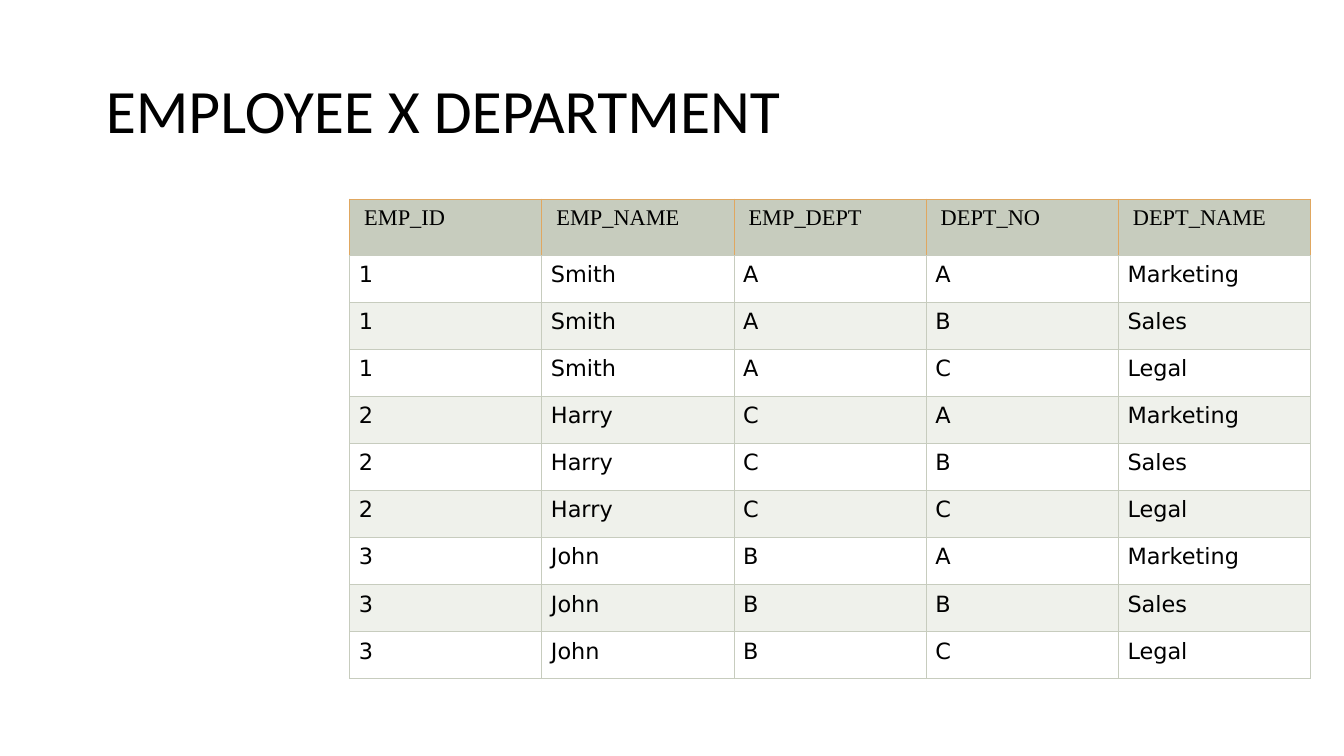
import itertools

import pptx
import pptx.dml.color
import pptx.enum.text
import pptx.oxml
import pptx.oxml.ns
import pptx.util

Pt = pptx.util.Pt

COLORS = {
    "text": "000000",
    "header": "C7CCBE",
    "band": "EFF1EB",
    "plain": "FFFFFF",
    "grid": "C7CCBE",
    "header_edge": "E0A760",
}
BORDER_WIDTH = Pt(0.34)
HEADER_HEIGHT = 30.24

HEADINGS = ("EMP_ID", "EMP_NAME", "EMP_DEPT", "DEPT_NO", "DEPT_NAME")
EMPLOYEES = (("1", "Smith", "A"), ("2", "Harry", "C"), ("3", "John", "B"))
DEPARTMENTS = (("A", "Marketing"), ("B", "Sales"), ("C", "Legal"))


def rgb(name):
    return pptx.dml.color.RGBColor.from_string(COLORS[name])


def set_font(paragraph, family, size):
    paragraph.font.name = family
    paragraph.font.size = Pt(size)
    paragraph.font.color.rgb = rgb("text")


def set_borders(cell, edge_colors):
    properties = cell._tc.get_or_add_tcPr()
    for side, color in zip("LRTB", edge_colors):
        properties.append(pptx.oxml.parse_xml(
            f'<a:ln{side} {pptx.oxml.ns.nsdecls("a")} w="{BORDER_WIDTH}"><a:solidFill>'
            f'<a:srgbClr val="{COLORS[color]}"/></a:solidFill></a:ln{side}>'))


def format_cell(cell, text, family, side_margin, fill, edge_colors):
    cell.text = text
    set_font(cell.text_frame.paragraphs[0], family, 12)
    cell.margin_left = cell.margin_right = Pt(side_margin)
    cell.margin_top = cell.margin_bottom = Pt(3.6)
    set_borders(cell, edge_colors)
    cell.fill.solid()
    cell.fill.fore_color.rgb = rgb(fill)


def place_title(slide, left, top, width, height):
    title = slide.shapes.title
    title.left, title.top, title.width, title.height = map(Pt, (left, top, width, height))
    frame = title.text_frame
    frame.text = "EMPLOYEE X DEPARTMENT"
    frame.word_wrap = True
    frame.auto_size = pptx.enum.text.MSO_AUTO_SIZE.NONE
    frame.vertical_anchor = pptx.enum.text.MSO_ANCHOR.MIDDLE
    paragraph = frame.paragraphs[0]
    paragraph.alignment = pptx.enum.text.PP_ALIGN.LEFT
    paragraph.line_spacing = 0.9
    set_font(paragraph, "Calibri", 33)


def place_product_table(slide, left, top, width, height):
    # Every employee is paired with every department
    records = [employee + department
               for employee, department in itertools.product(EMPLOYEES, DEPARTMENTS)]
    table = slide.shapes.add_table(len(records) + 1, len(HEADINGS),
                                   Pt(left), Pt(top), Pt(width), Pt(height)).table
    for column in table.columns:
        column.width = Pt(width / len(HEADINGS))
    for row in table.rows:
        row.height = Pt((height - HEADER_HEIGHT) / len(records))
    table.rows[0].height = Pt(HEADER_HEIGHT)

    # Header row
    header_edges = ("header_edge",) * 3 + ("grid",)
    for cell, heading in zip(table.rows[0].cells, HEADINGS):
        format_cell(cell, heading, "Times New Roman", 7.92, "header", header_edges)

    # Banded body rows
    for index, record in enumerate(records):
        fill = "band" if index % 2 else "plain"
        for cell, value in zip(table.rows[index + 1].cells, record):
            format_cell(cell, value, "DejaVu Sans", 5.04, fill, ("grid",) * 4)


def main():
    presentation = pptx.Presentation()
    presentation.slide_width, presentation.slide_height = Pt(720), Pt(405)
    slide = presentation.slides.add_slide(presentation.slide_layouts.get_by_name("Title Only"))
    place_title(slide, 49.5, 21.6, 621, 78.5)
    place_product_table(slide, 187.2, 106.5, 514.8, 257.04)
    presentation.save("out.pptx")


if __name__ == "__main__":
    main()
